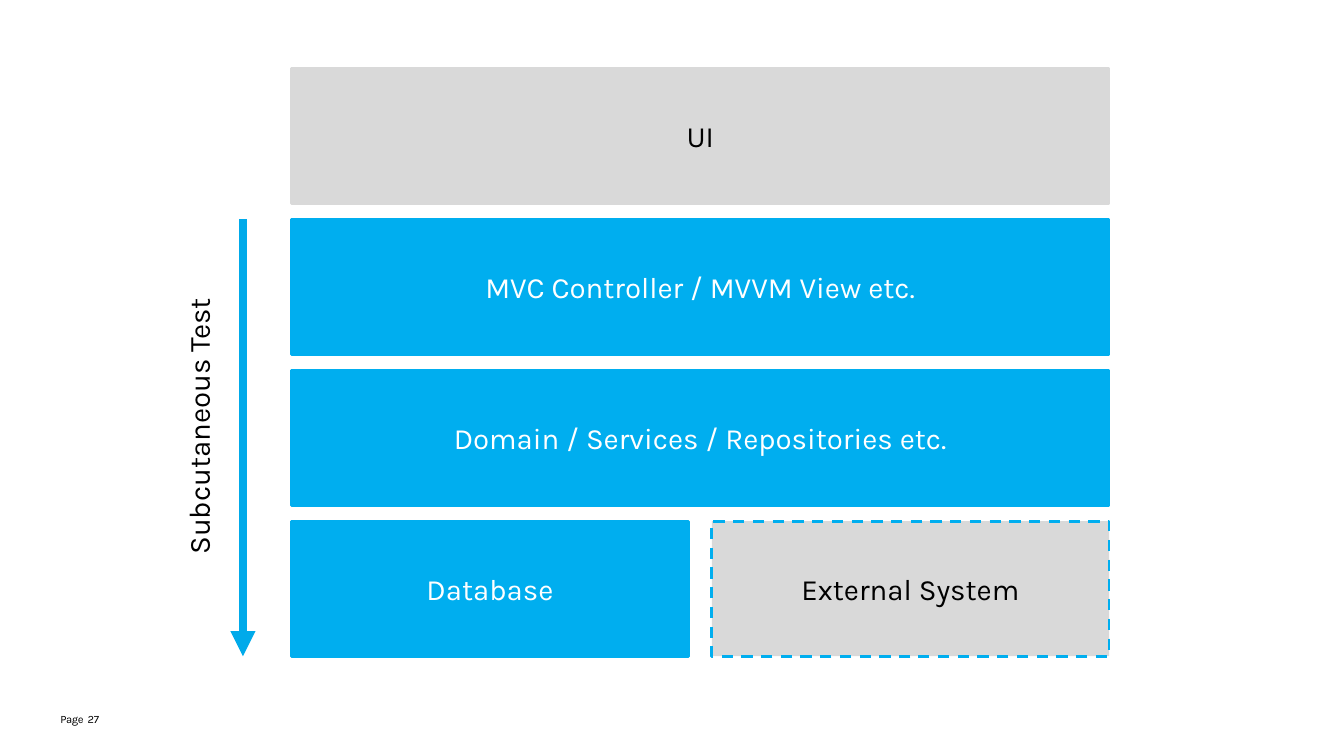
"""Build a slide of application layers reached by a subcutaneous test."""
from dataclasses import dataclass

from lxml.etree import SubElement
from pptx import Presentation
from pptx.dml.color import RGBColor
from pptx.enum.dml import MSO_LINE_DASH_STYLE as Dash
from pptx.enum.shapes import MSO_CONNECTOR as Link, MSO_SHAPE as Shape
from pptx.enum.text import MSO_ANCHOR as Anchor, MSO_AUTO_SIZE as Fit, PP_ALIGN as Align
from pptx.oxml.ns import qn
from pptx.slide import Slide
from pptx.text.text import TextFrame
from pptx.util import Inches, Pt

BLUE, GRAY, BLACK, WHITE = "00AEEF", "D9D9D9", "000000", "FFFFFF"
ARROW = "00AAEA"
LEFT, TOP, WIDE, HIGH, STEP = 2.89, 0.68, 8.11, 1.34, 1.497
HALF = 3.94


@dataclass
class Layer:
    text: str
    row: int
    left: float = LEFT
    width: float = WIDE
    fill: str = BLUE
    line: str = BLUE
    ink: str = WHITE
    dash: bool = False


@dataclass
class Label:
    text: str
    left: float
    top: float
    width: float
    height: float
    size: float = 8
    page: bool = True


LAYERS = [
    Layer("UI", 0, fill=GRAY, line=GRAY, ink=BLACK),
    Layer("MVC Controller / MVVM View etc.", 1),
    Layer("Domain / Services / Repositories etc.", 2),
    Layer("Database", 3, width=HALF),
    Layer("External System", 3, LEFT + WIDE - HALF, HALF, GRAY, BLUE, BLACK, True),
]
LABELS = [
    Label("Page", 0.6, 7.07, 0.3, 0.34),
    Label("27", 0.87, 7.07, 0.24, 0.34),
    Label("Subcutaneous Test", 1.74, 3.08, 0.56, 2.52, 21, False),
]


def color(code: str) -> RGBColor:
    return RGBColor.from_string(code)


def write(frame: TextFrame, text: str, size: float, ink: str, tight: bool = False) -> None:
    run = frame.paragraphs[0].add_run()
    run.text = text
    font = run.font
    font.name, font.size = "Karla", Pt(size)
    font.color.rgb = color(ink)
    if tight:
        font._element.set("spc", "-30")


def draw_layer(slide: Slide, item: Layer) -> None:
    top = TOP + item.row * STEP
    box = slide.shapes.add_shape(
        Shape.RECTANGLE, Inches(item.left), Inches(top), Inches(item.width), Inches(HIGH)
    )
    box.shadow.inherit = False
    box.fill.solid()
    box.fill.fore_color.rgb = color(item.fill)
    box.line.color.rgb = color(item.line)
    box.line.width = Pt(2)
    if item.dash:
        box.line.dash_style = Dash.DASH
    frame = box.text_frame
    frame.word_wrap = True
    frame.vertical_anchor = Anchor.MIDDLE
    frame.paragraphs[0].alignment = Align.CENTER
    write(frame, item.text, 21, item.ink)


def draw_label(slide: Slide, item: Label) -> None:
    box = slide.shapes.add_textbox(
        Inches(item.left), Inches(item.top), Inches(item.width), Inches(item.height)
    )
    frame = box.text_frame
    frame.word_wrap = item.page
    if item.page:
        frame.margin_left = frame.margin_right = 0
        frame.margin_top = frame.margin_bottom = 0
    else:
        frame.auto_size = Fit.SHAPE_TO_FIT_TEXT
        frame._txBody.bodyPr.set("vert", "vert270")
    write(frame, item.text, item.size, BLACK, item.page)


def draw_arrow(slide: Slide, left: float, top: float, end: float) -> None:
    arrow = slide.shapes.add_connector(
        Link.STRAIGHT, Inches(left), Inches(top), Inches(left), Inches(end)
    )
    arrow.line.color.rgb = color(ARROW)
    arrow.line.width = Pt(6)
    SubElement(arrow.line._get_or_add_ln(), qn("a:tailEnd"), type="triangle")
    SubElement(arrow._element.spPr, qn("a:effectLst"))


def main() -> None:
    deck = Presentation()
    deck.slide_width, deck.slide_height = Inches(13.33), Inches(7.5)
    slide = deck.slides.add_slide(deck.slide_layouts[6])
    for layer in LAYERS:
        draw_layer(slide, layer)
    draw_arrow(slide, 2.41, TOP + STEP, TOP + 3 * STEP + HIGH)
    for label in LABELS:
        draw_label(slide, label)
    deck.save("out.pptx")


if __name__ == "__main__":
    main()
